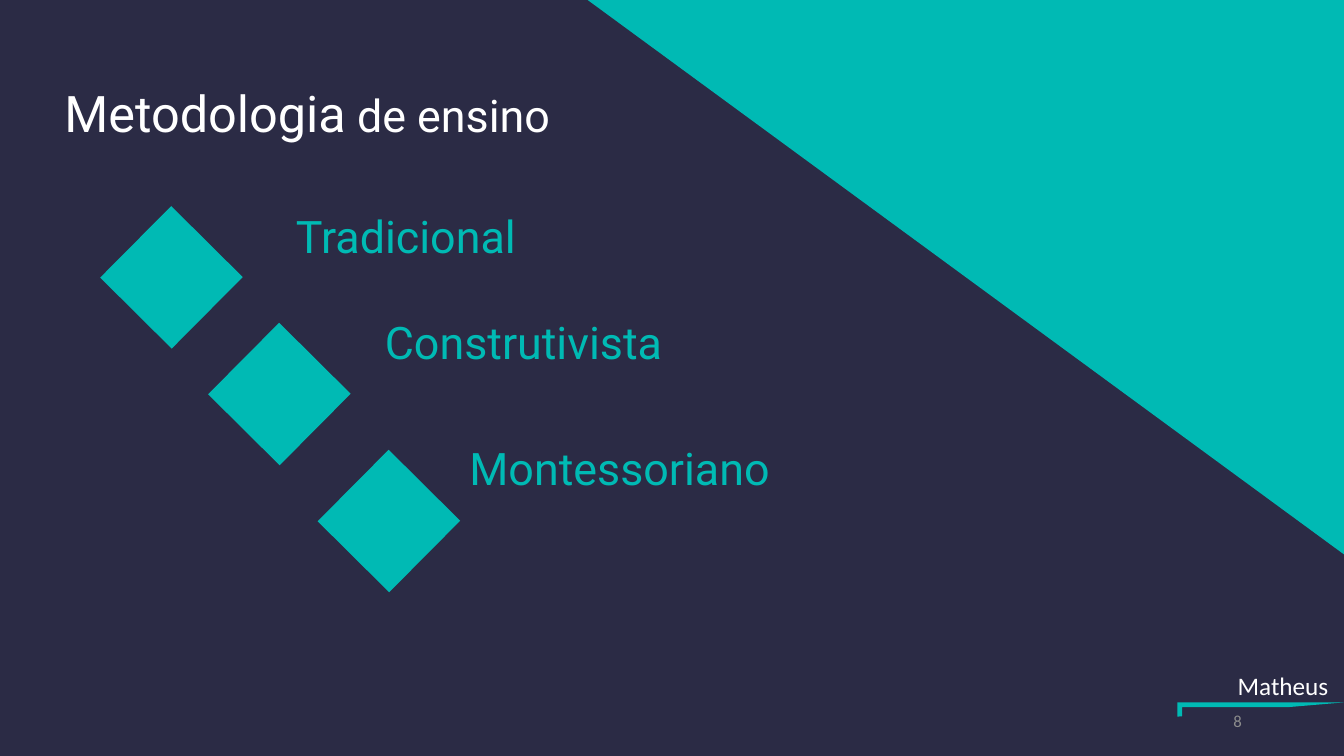
from dataclasses import dataclass

from pptx import Presentation
from pptx.dml.color import RGBColor
from pptx.enum.shapes import MSO_SHAPE
from pptx.enum.text import MSO_ANCHOR, MSO_AUTO_SIZE, PP_ALIGN
from pptx.util import Cm, Pt

RECT = MSO_SHAPE.RECTANGLE
WEDGE = MSO_SHAPE.RIGHT_TRIANGLE
FRAME = MSO_SHAPE.HALF_FRAME
TOP, MIDDLE = MSO_ANCHOR.TOP, MSO_ANCHOR.MIDDLE
LEFT, RIGHT = PP_ALIGN.LEFT, PP_ALIGN.RIGHT
FIXED = MSO_AUTO_SIZE.NONE


@dataclass
class Theme:
    navy = RGBColor(0x2B, 0x2B, 0x45)
    teal = RGBColor(0x00, 0xBA, 0xB4)
    white = RGBColor(0xFF, 0xFF, 0xFF)
    grey = RGBColor(0x8C, 0x8C, 0x8C)
    head = "Roboto"
    body = "Calibri"
    title = Pt(36)
    item = Pt(32)
    name = Pt(18)
    page = Pt(12)


theme = Theme()
deck = Presentation()
deck.slide_width, deck.slide_height = Cm(33.87), Cm(19.05)
slide = deck.slides.add_slide(deck.slide_layouts[5])
slide.background.fill.solid()
slide.background.fill.fore_color.rgb = theme.navy


def add_form(kind, x, y, w, h, turn=0):
    form = slide.shapes.add_shape(kind, Cm(x), Cm(y), Cm(w), Cm(h))
    form.rotation = turn
    form.shadow.inherit = False
    form.fill.solid()
    form.fill.fore_color.rgb = theme.teal
    form.line.fill.background()


def add_text(text, x, y, w, h, face, size, color, align=LEFT, anchor=TOP, wrap=True):
    box = slide.shapes.add_textbox(Cm(x), Cm(y), Cm(w), Cm(h))
    frame = box.text_frame
    frame.word_wrap = wrap
    frame.vertical_anchor = anchor
    para = frame.paragraphs[0]
    para.text = text
    para.alignment = align
    para.font.name, para.font.size = face, size
    para.font.color.rgb = color


title = slide.shapes.title
title.left, title.top = Cm(1.37), Cm(1.93)
title.width, title.height = Cm(14.68), Cm(1.8)
frame = title.text_frame
frame.auto_size = FIXED
frame.vertical_anchor = TOP
para = frame.paragraphs[0]
para.alignment = LEFT
para.font.name = theme.head
para.font.color.rgb = theme.white
for text, size in (("Metodologia", theme.title), (" de ensino", theme.item)):
    run = para.add_run()
    run.text = text
    run.font.size = size

add_form(WEDGE, 14.81, 0, 19.06, 13.97, 180)

methods = (
    ("Tradicional", 3.05, 5.72, 7.21, 5.13),
    ("Construtivista", 5.77, 8.66, 9.45, 7.8),
    ("Montessoriano", 8.53, 11.86, 11.58, 10.97),
)
for text, x, y, left, top in methods:
    add_form(RECT, x, y, 2.54, 2.54, 44.8)
    add_text(text, left, top, 10, 1.63, theme.head, theme.item, theme.teal)

add_text("8", 23.93, 17.65, 7.62, 1.02, theme.body, theme.page, theme.grey, RIGHT, MIDDLE)
add_text("Matheus", 30.94, 16.76, 2.82, 1.02, theme.body, theme.name, theme.white, wrap=False)
add_form(FRAME, 29.67, 17.7, 4.2, 0.36)

deck.save("out.pptx")
